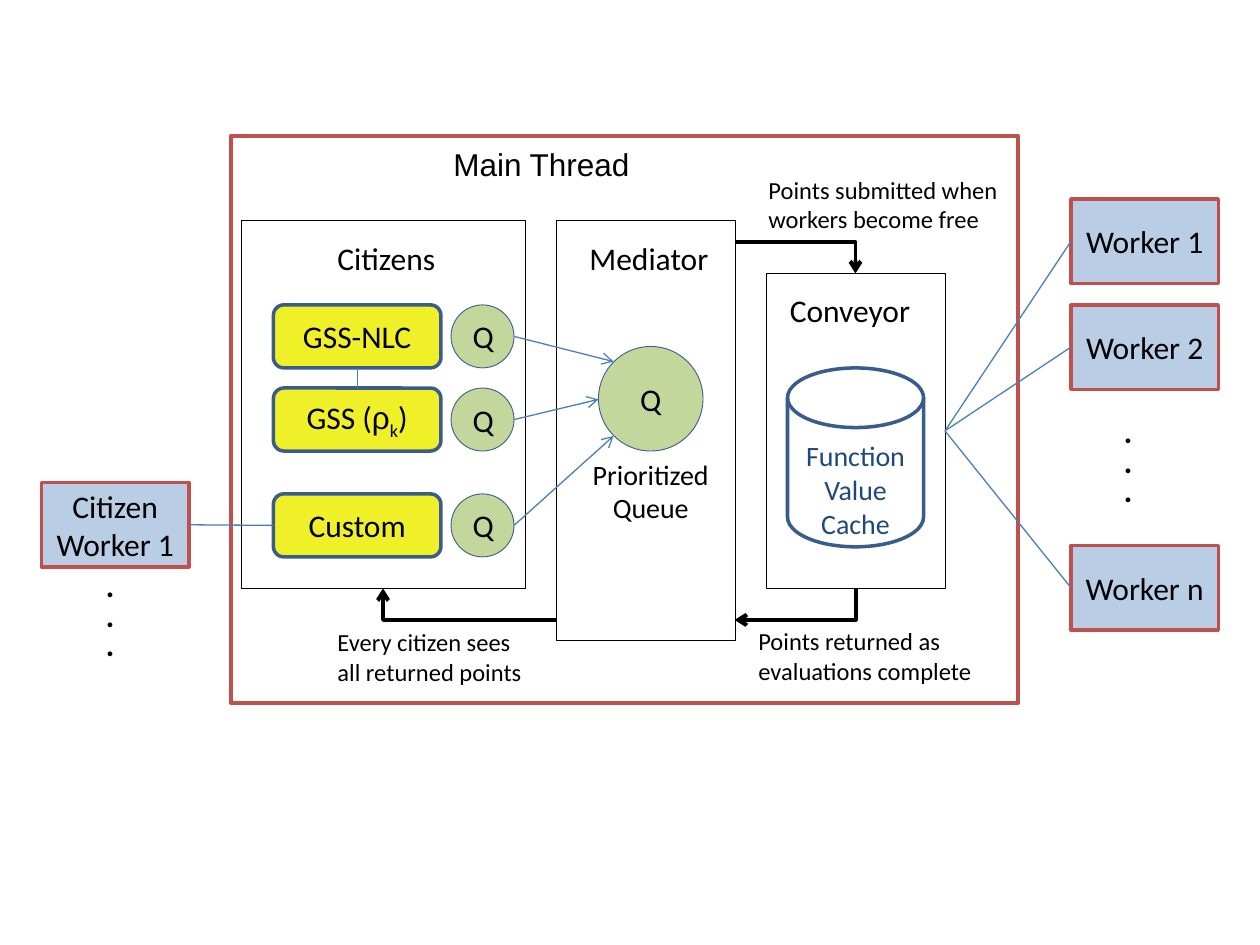
from lxml import etree
from pptx import Presentation
from pptx import util as u
from pptx.dml import color
from pptx.enum import shapes, text
from pptx.oxml import ns

BLACK, WHITE = "000000", "FFFFFF"
RED, NAVY, BLUE = "C0504D", "385D8A", "4A7EBB"
PALE_BLUE, GREEN, YELLOW = "B9CDE5", "C3D69B", "F0F028"
CENTER = text.PP_ALIGN.CENTER
SHAPE = shapes.MSO_SHAPE


def rgb(value):
    return color.RGBColor.from_string(value)


def format_text(text_frame, size, font="Calibri", font_color=BLACK, bold=False, align=None):
    for paragraph in text_frame.paragraphs:
        paragraph.alignment = align
        for run in paragraph.runs:
            run.font.size = u.Pt(size)
            run.font.name = font
            run.font.bold = bold
            run.font.color.rgb = rgb(font_color)


def add_box(slide, kind, left, top, width, height, fill, line, line_width,
            words="", size=18, font_color=BLACK):
    shape = slide.shapes.add_shape(kind, *map(u.Inches, (left, top, width, height)))
    shape.shadow.inherit = False
    shape.fill.solid()
    shape.fill.fore_color.rgb = rgb(fill)
    shape.line.color.rgb = rgb(line)
    shape.line.width = u.Pt(line_width)
    if words:
        shape.text_frame.text = words
        shape.text_frame.vertical_anchor = text.MSO_ANCHOR.MIDDLE
        format_text(shape.text_frame, size, font_color=font_color, align=CENTER)
    return shape


def add_panel(slide, left, top, width, height):
    return add_box(slide, SHAPE.RECTANGLE, left, top, width, height, WHITE, BLACK, 0.5)


def add_worker(slide, left, top, words):
    return add_box(slide, SHAPE.RECTANGLE, left, top, 1.17, 0.67, PALE_BLUE, RED, 2, words)


def add_queue(slide, left, top, diameter):
    return add_box(slide, SHAPE.OVAL, left, top, diameter, diameter, GREEN, NAVY, 0.5, "Q")


def add_label(slide, left, top, width, height, words, size=18, **style):
    label = slide.shapes.add_textbox(*map(u.Inches, (left, top, width, height)))
    label.text_frame.word_wrap = True
    label.text_frame.auto_size = text.MSO_AUTO_SIZE.SHAPE_TO_FIT_TEXT
    label.text_frame.text = words
    format_text(label.text_frame, size, **style)


def style_line(connector, line_color, width, arrow):
    connector.line.color.rgb = rgb(line_color)
    connector.line.width = u.Pt(width)
    if arrow:
        line = connector.line._get_or_add_ln()
        etree.SubElement(line, ns.qn("a:tailEnd"), type="arrow")
    etree.SubElement(connector._element.spPr, ns.qn("a:effectLst"))


def add_line(slide, begin, end, arrow=False):
    connector = slide.shapes.add_connector(
        shapes.MSO_CONNECTOR.STRAIGHT, *map(u.Inches, (*begin, *end)))
    style_line(connector, BLUE, 0.75, arrow)
    return connector


def join(slide, first, first_side, second, second_side):
    connector = add_line(slide, (0, 0), (1, 1))
    connector.begin_connect(first, first_side)
    connector.end_connect(second, second_side)


def add_bent_arrow(slide, begin, end, down_first=False):
    """One-corner arrow; down_first turns it a quarter, running down and then left."""
    (x1, y1), (x2, y2) = begin, end
    if down_first:
        middle_x, middle_y = (x1 + x2) / 2, (y1 + y2) / 2
        half_width, half_height = abs(y2 - y1) / 2, abs(x2 - x1) / 2
        x1, x2 = middle_x - half_width, middle_x + half_width
        y1, y2 = middle_y - half_height, middle_y + half_height
    connector = slide.shapes.add_connector(
        shapes.MSO_CONNECTOR.ELBOW, *map(u.Inches, (x1, y1, x2, y2)))
    properties = connector._element.spPr
    properties.find(ns.qn("a:prstGeom")).set("prst", "bentConnector2")
    if down_first:
        properties.find(ns.qn("a:xfrm")).set("rot", "5400000")
    style_line(connector, BLACK, 2.25, arrow=True)


def add_citizens(slide):
    add_panel(slide, 1.92, 1.75, 2.25, 2.92)
    add_label(slide, 2.58, 1.85, 1.17, 0.4, "Citizens")
    # Each citizen has its own queue, feeding the mediator's queue
    rows = [(2.42, "GSS-NLC", (4.87, 2.87)),
            (3.08, "GSS (", (4.75, 3.17)),
            (3.92, "Custom", (4.87, 3.46))]
    citizens = []
    for top, words, target in rows:
        citizens.append(add_box(slide, SHAPE.ROUNDED_RECTANGLE, 2.17, top, 1.33, 0.5,
                                YELLOW, NAVY, 2, words))
        add_queue(slide, 3.58, top, 0.5)
        add_line(slide, (4.08, top + 0.25), target, arrow=True)
    nlc, gss, custom = citizens

    # Greek letter with a subscript
    paragraph = gss.text_frame.paragraphs[0]
    for words in ("ρ", "k", ")"):
        paragraph.add_run().text = words
    format_text(gss.text_frame, 18, align=CENTER)
    paragraph.runs[1].font.name = "Arial"
    paragraph.runs[2].font._element.set("baseline", "-25000")

    join(slide, nlc, 2, gss, 0)
    citizen_worker = add_worker(slide, 0.33, 3.83, "Citizen Worker 1")
    join(slide, citizen_worker, 3, custom, 1)


def add_mediator(slide):
    add_panel(slide, 4.42, 1.75, 1.42, 3.33)
    add_label(slide, 4.58, 1.85, 1.17, 0.4, "Mediator")
    add_queue(slide, 4.75, 2.75, 0.83)
    add_label(slide, 4.5, 3.58, 1.33, 0.64, "Prioritized\nQueue", 16, align=CENTER)


def add_conveyor(slide):
    conveyor = add_panel(slide, 6.08, 2.17, 1.42, 2.5)
    add_label(slide, 6.17, 2.26, 1.17, 0.4, "Conveyor")
    cache = add_box(slide, SHAPE.FLOWCHART_MAGNETIC_DISK, 6.25, 2.92, 1.08, 1.42,
                    WHITE, NAVY, 2, "Function Value Cache", 16, "1F497D")
    cache.text_frame.margin_top = u.Inches(0.32)
    for top, words in ((1.58, "Worker 1"), (2.42, "Worker 2"), (4.33, "Worker n")):
        join(slide, conveyor, 3, add_worker(slide, 8.5, top, words), 1)


def main():
    presentation = Presentation()
    presentation.slide_width = u.Inches(10)
    presentation.slide_height = u.Inches(7.5)
    slide = presentation.slides.add_slide(presentation.slide_layouts[6])

    # Main thread frame and its three parts
    add_box(slide, SHAPE.RECTANGLE, 1.83, 1.08, 6.25, 4.5, WHITE, RED, 2.25)
    add_label(slide, 3.5, 1.1, 2, 0.4, "Main Thread", font="Arial")
    add_mediator(slide)
    add_citizens(slide)
    add_conveyor(slide)

    # Flow of points between the parts
    add_bent_arrow(slide, (5.83, 1.92), (6.79, 2.17))
    add_bent_arrow(slide, (6.79, 4.67), (5.83, 4.92), down_first=True)
    add_bent_arrow(slide, (4.42, 4.92), (3.04, 4.67))
    add_label(slide, 6, 1.34, 2.08, 0.57, "Points submitted when workers become free", 14)
    add_label(slide, 5.92, 4.92, 1.92, 0.57, "Points returned as evaluations complete", 14)
    add_label(slide, 2.58, 4.93, 1.75, 0.57, "Every citizen sees all returned points", 14)

    # Dots for further workers
    for left, top in ((8.83, 3.28), (0.75, 4.5)):
        add_label(slide, left, top, 0.67, 0.8, ".\n.\n.", 14, font="Montserrat", bold=True)

    presentation.save("out.pptx")


if __name__ == "__main__":
    main()
